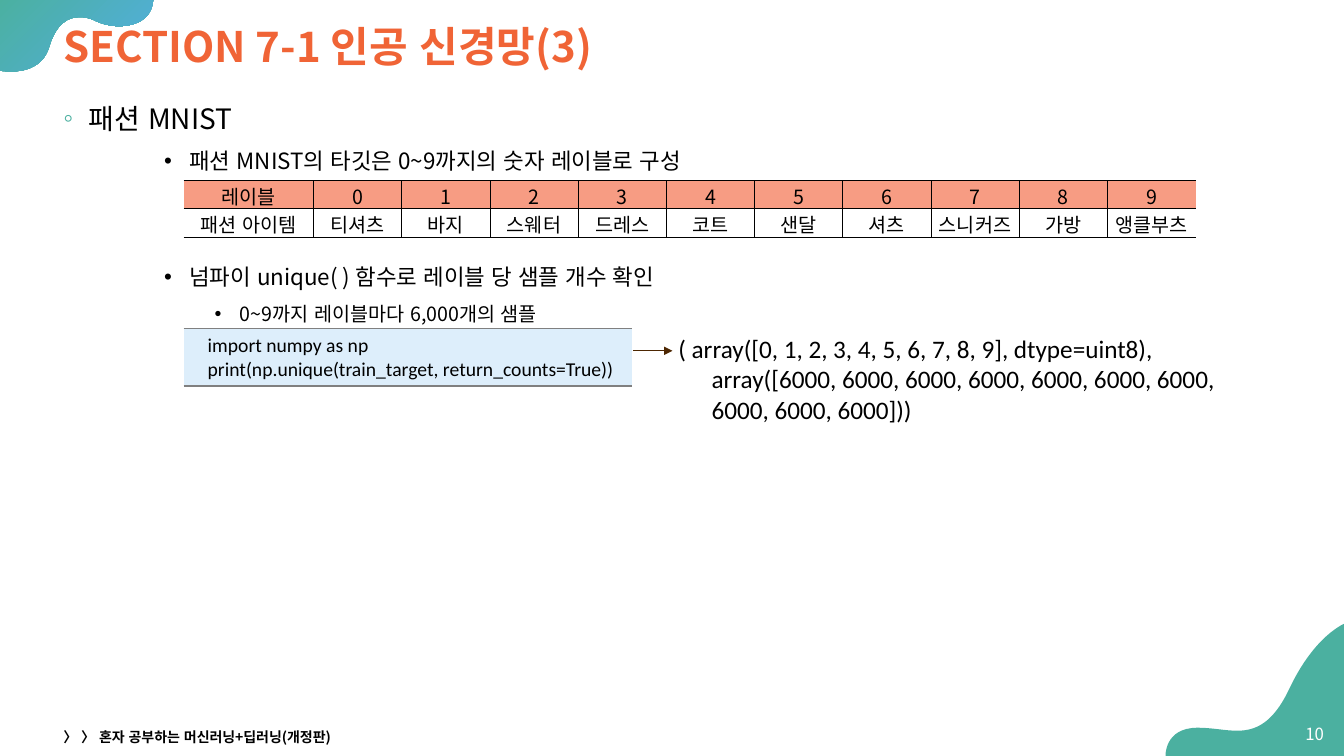
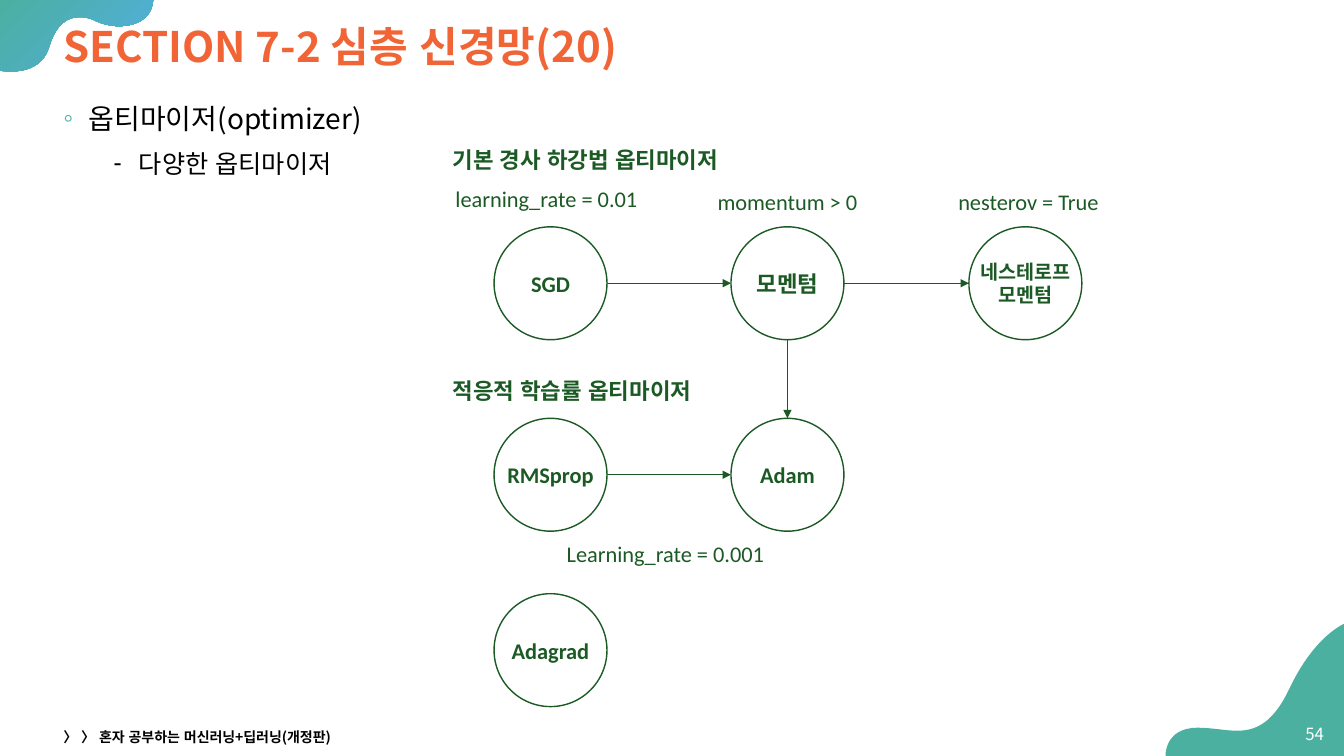
from dataclasses import dataclass

from lxml import etree
from pptx import Presentation
from pptx.dml.color import RGBColor
from pptx.enum import shapes, text
from pptx.oxml import ns
from pptx.util import Inches, Pt


@dataclass(frozen=True)
class Theme:
    font: str = "Noto Sans CJK KR"
    code_font: str = "Calibri"
    black: str = "000000"
    white: str = "FFFFFF"
    orange: str = "F06436"
    teal: str = "4BB0A0"
    sky: str = "52AEE1"
    green: str = "1C5A25"
    brown: str = "4D2702"
    gray: str = "808080"
    header_fill: str = "F79C83"
    code_fill: str = "DDEEFB"
    title_size: int = 30
    heading_size: int = 20
    subheading_size: int = 18
    label_size: int = 16
    small_size: int = 14
    number_size: int = 12
    footer_size: int = 10


THEME = Theme()
LEFT, CENTER, RIGHT = text.PP_ALIGN.LEFT, text.PP_ALIGN.CENTER, text.PP_ALIGN.RIGHT
FOOTER = "〉 〉 혼자 공부하는 머신러닝+딥러닝(개정판)"

# Each curve is two control points and an end point; a single point is a straight line.
TOP_WAVE = (1.52, -0.02), [
    [(-0.01, -0.02)],
    [(-0.01, 0.7)],
    [(-0.01, 0.7), (0.04, 0.71), (0.11, 0.71)],
    [(0.24, 0.71), (0.43, 0.67), (0.49, 0.46)],
    [(0.56, 0.23), (0.68, 0.17), (0.79, 0.17)],
    [(0.84, 0.17), (0.89, 0.18), (0.93, 0.2)],
    [(1.01, 0.24), (1.1, 0.26), (1.18, 0.26)],
    [(1.37, 0.26), (1.52, 0.17), (1.52, -0.02)],
]
BOTTOM_WAVE = (13.35, 6.18), [
    [(13.35, 6.18), (13.04, 6.29), (12.78, 6.85)],
    [(12.62, 7.18), (12.45, 7.25), (12.27, 7.25)],
    [(12.15, 7.25), (12.02, 7.22), (11.88, 7.22)],
    [(11.54, 7.22), (11.56, 7.51), (11.56, 7.51)],
    [(13.35, 7.51)],
]


def rgb(color):
    return RGBColor.from_string(color)


def add_xml(parent, tag, **attributes):
    return etree.SubElement(parent, ns.qn(tag), attributes)


def add_run(paragraph, words, size, color=THEME.black, bold=False, font=THEME.font):
    run = paragraph.add_run()
    run.text = words
    run.font.size = Pt(size)
    run.font.bold = bold
    run.font.color.rgb = rgb(color)
    run.font.name = font
    properties = run._r.get_or_add_rPr()
    properties.set("lang", "ko-KR")
    add_xml(properties, "a:ea", typeface=THEME.font)


def fill_frame(frame, lines, size, align=LEFT, **style):
    """Write one paragraph per line."""
    for index, line in enumerate(lines):
        paragraph = frame.add_paragraph() if index else frame.paragraphs[0]
        paragraph.alignment = align
        add_run(paragraph, line, size, **style)


def add_text(slide, box, lines, size, align=LEFT, middle=False, wrap=True, **style):
    frame = slide.shapes.add_textbox(*map(Inches, box)).text_frame
    frame.word_wrap = wrap
    if middle:
        frame.vertical_anchor = text.MSO_ANCHOR.MIDDLE
    fill_frame(frame, lines, size, align, **style)
    return frame


def indent(paragraph, left, first=0):
    properties = paragraph._p.get_or_add_pPr()
    properties.set("marL", str(Inches(left)))
    properties.set("indent", str(Inches(first)))
    return properties


def add_bullets(slide, width, height, items):
    """Items are (text, size, left indent, bullet, bullet colour, space before)."""
    frame = slide.shapes.add_textbox(*map(Inches, (0.53, 0.89, width, height))).text_frame
    frame.word_wrap = True
    for index, (words, size, left, bullet, color, space) in enumerate(items):
        paragraph = frame.add_paragraph() if index else frame.paragraphs[0]
        properties = indent(paragraph, left, -0.25)
        add_xml(add_xml(properties, "a:buClr"), "a:srgbClr", val=color)
        add_xml(properties, "a:buFont", typeface="Arial")
        add_xml(properties, "a:buChar", char=bullet)
        paragraph.line_spacing = 1.2
        paragraph.space_before = Pt(space)
        add_run(paragraph, words, size)


def add_wave(slide, outline):
    """Draw a closed outline, turning each three-point segment into a cubic curve."""
    start, segments = outline
    builder = slide.shapes.build_freeform(*map(Inches, start))
    builder.add_line_segments(
        [(Inches(x), Inches(y)) for segment in segments for x, y in segment])
    wave = builder.convert_to_shape()
    lines = iter(wave._element.findall(".//" + ns.qn("a:lnTo")))
    for segment in segments:
        first, *others = [next(lines) for _ in segment]
        if others:
            first.tag = ns.qn("a:cubicBezTo")
            for line in others:
                first.append(line[0])
                line.getparent().remove(line)
    wave.shadow.inherit = False
    wave.line.fill.background()
    return wave


def add_layout_waves(slide):
    """Draw both corner waves and hand them to the layout that the slides share."""
    top = add_wave(slide, TOP_WAVE)
    top.fill.gradient()
    top.fill.gradient_angle = 315
    for stop, color in zip(top.fill.gradient_stops, (THEME.teal, THEME.sky)):
        stop.color.rgb = rgb(color)
    bottom = add_wave(slide, BOTTOM_WAVE)
    bottom.fill.solid()
    bottom.fill.fore_color.rgb = rgb(THEME.teal)
    for index, wave in enumerate((top, bottom)):
        wave._element.nvSpPr.cNvPr.set("id", str(101 + index))
        slide.slide_layout.shapes._spTree.insert(2 + index, wave._element)


def add_base_slide(presentation, title, number):
    """Add a slide with the title, footer and page number."""
    slide = presentation.slides.add_slide(presentation.slide_layouts[5])
    heading = slide.shapes.title
    heading.left, heading.top, heading.width, heading.height = map(
        Inches, (0.53, 0.12, 12.34, 0.73))
    heading.text_frame.vertical_anchor = text.MSO_ANCHOR.MIDDLE
    fill_frame(heading.text_frame, [title], THEME.title_size, color=THEME.orange, bold=True)
    heading.text_frame.paragraphs[0].line_spacing = 0.9
    add_text(slide, (12.79, 7.08, 0.44, 0.4), [number], THEME.number_size, RIGHT,
             middle=True, color=THEME.white)
    add_text(slide, (0.53, 7.19, 4.5, 0.24), [FOOTER], THEME.footer_size,
             middle=True, bold=True)
    return slide


def add_arrow(slide, start, end, color):
    arrow = slide.shapes.add_connector(
        shapes.MSO_CONNECTOR.STRAIGHT, *map(Inches, (*start, *end)))
    arrow.line.color.rgb = rgb(color)
    arrow.line.width = Pt(0.5)
    add_xml(arrow.line._get_or_add_ln(), "a:tailEnd", type="triangle")
    add_xml(arrow._element.spPr, "a:effectLst")


def add_plain_table(slide, box, rows, columns):
    table = slide.shapes.add_table(rows, columns, *map(Inches, box)).table
    table.first_row = table.horz_banding = False
    return table


def format_cell(cell, fill, sides, color, width, margins):
    """Set borders on the named sides (L, R, T, B), then the fill and margins."""
    properties = cell._tc.get_or_add_tcPr()
    for side in "LRTB":
        border = add_xml(properties, f"a:ln{side}", w=str(Pt(width)))
        if side in sides:
            add_xml(add_xml(border, "a:solidFill"), "a:srgbClr", val=color)
        else:
            add_xml(border, "a:noFill")
    if fill:
        cell.fill.solid()
        cell.fill.fore_color.rgb = rgb(fill)
    else:
        cell.fill.background()
    cell.margin_left, cell.margin_top, cell.margin_right, cell.margin_bottom = map(
        Inches, margins)


def add_label_table(slide, rows):
    columns = len(rows[0])
    width, first_width = 10.04, 1.29
    table = add_plain_table(slide, (1.82, 1.79, width, 0.56), len(rows), columns)
    for index, column in enumerate(table.columns):
        column.width = Inches((width - first_width) / (columns - 1) if index else first_width)
    for row_index, row in enumerate(rows):
        for index, words in enumerate(row):
            cell = table.cell(row_index, index)
            sides = "TB" + ("L" if index else "") + ("R" if index < columns - 1 else "")
            format_cell(cell, None if row_index else THEME.header_fill, sides,
                        THEME.black, 0.5, (0.01, 0.01, 0.01, 0))
            cell.vertical_anchor = text.MSO_ANCHOR.MIDDLE
            fill_frame(cell.text_frame, [words], THEME.small_size, CENTER)


def add_code(slide, box, lines):
    cell = add_plain_table(slide, box, 1, 1).cell(0, 0)
    format_cell(cell, THEME.code_fill, "TB", THEME.gray, 1, (0.24, 0.05, 0.1, 0.05))
    fill_frame(cell.text_frame, lines, THEME.small_size, font=THEME.code_font)


def add_node(slide, left, top, diameter, lines, size):
    node = slide.shapes.add_shape(
        shapes.MSO_SHAPE.OVAL, *map(Inches, (left, top, diameter, diameter)))
    node.shadow.inherit = False
    node.fill.solid()
    node.fill.fore_color.rgb = rgb(THEME.white)
    node.line.color.rgb = rgb(THEME.green)
    node.line.width = Pt(1)
    node.text_frame.word_wrap = False
    node.text_frame.vertical_anchor = text.MSO_ANCHOR.MIDDLE
    fill_frame(node.text_frame, lines, size, CENTER, color=THEME.green, bold=True,
               font=THEME.code_font)


def build_fashion_slide(presentation):
    slide = add_base_slide(presentation, "SECTION 7-1 인공 신경망(3)", "10")
    add_layout_waves(slide)
    add_bullets(slide, 12.34, 5.17, [
        ("패션 MNIST", THEME.heading_size, 0.25, "◦", THEME.teal, 0),
        ("패션 MNIST의 타깃은 0~9까지의 숫자 레이블로 구성",
         THEME.label_size, 1.25, "•", THEME.black, 5),
        ("넘파이 unique( ) 함수로 레이블 당 샘플 개수 확인",
         THEME.label_size, 1.25, "•", THEME.black, 60),
        ("0~9까지 레이블마다 6,000개의 샘플", THEME.small_size, 1.75, "•", THEME.black, 5),
    ])
    add_label_table(slide, [
        ["레이블", *map(str, range(10))],
        ["패션 아이템", "티셔츠", "바지", "스웨터", "드레스", "코트", "샌달", "셔츠",
         "스니커즈", "가방", "앵클부츠"],
    ])
    add_code(slide, (1.82, 3.26, 4.45, 0.57), [
        "import numpy as np",
        "print(np.unique(train_target, return_counts=True))",
    ])
    add_arrow(slide, (6.28, 3.48), (6.67, 3.48), THEME.brown)
    output = add_text(slide, (6.63, 3.26, 5.7, 1.01), [
        "( array([0, 1, 2, 3, 4, 5, 6, 7, 8, 9], dtype=uint8),",
        "array([6000, 6000, 6000, 6000, 6000, 6000, 6000,",
        "6000, 6000, 6000]))",
    ], THEME.subheading_size, font=THEME.code_font)
    for paragraph in output.paragraphs[1:]:
        indent(paragraph, 0.33)


def build_optimizer_slide(presentation):
    slide = add_base_slide(presentation, "SECTION 7-2 심층 신경망(20)", "54")
    add_bullets(slide, 12.03, 5.93, [
        ("옵티마이저(optimizer)", THEME.heading_size, 0.25, "◦", THEME.teal, 0),
        ("다양한 옵티마이저", THEME.subheading_size, 0.75, "⁃", THEME.black, 5),
    ])
    green = {"color": THEME.green, "font": THEME.code_font}
    for top, words in ((1.4, "기본 경사 하강법 옵티마이저"), (3.69, "적응적 학습률 옵티마이저")):
        add_text(slide, (4.39, top, 3.05, 0.37), [words], THEME.label_size,
                 wrap=False, bold=True, **green)

    diameter = 1.12
    columns = (4.9, 7.25, 9.61)
    rows = (2.25, 4.15, 5.89)
    for column, row, lines in (
        (0, 0, ["SGD"]), (1, 0, ["모멘텀"]), (2, 0, ["네스테로프", "모멘텀"]),
        (0, 1, ["RMSprop"]), (1, 1, ["Adam"]), (0, 2, ["Adagrad"]),
    ):
        size = THEME.small_size if len(lines) > 1 else THEME.label_size
        add_node(slide, columns[column], rows[row], diameter, lines, size)

    for column, row in ((0, 0), (1, 0), (0, 1)):
        middle = rows[row] + diameter / 2
        add_arrow(slide, (columns[column] + diameter, middle),
                  (columns[column + 1], middle), THEME.green)
    center = columns[1] + diameter / 2
    add_arrow(slide, (center, rows[0] + diameter), (center, rows[1]), THEME.green)

    for left, top, words in (
        (4.21, 1.79, "learning_rate = 0.01"), (6.6, 1.82, "momentum > 0"),
        (8.99, 1.82, "nesterov = True"), (5.39, 5.31, "Learning_rate = 0.001"),
    ):
        add_text(slide, (left, top, 2.42, 0.37), [words], THEME.label_size, CENTER, **green)


def main():
    presentation = Presentation()
    presentation.slide_width, presentation.slide_height = Inches(13.33), Inches(7.5)
    build_fashion_slide(presentation)
    build_optimizer_slide(presentation)
    presentation.save("out.pptx")


if __name__ == "__main__":
    main()
